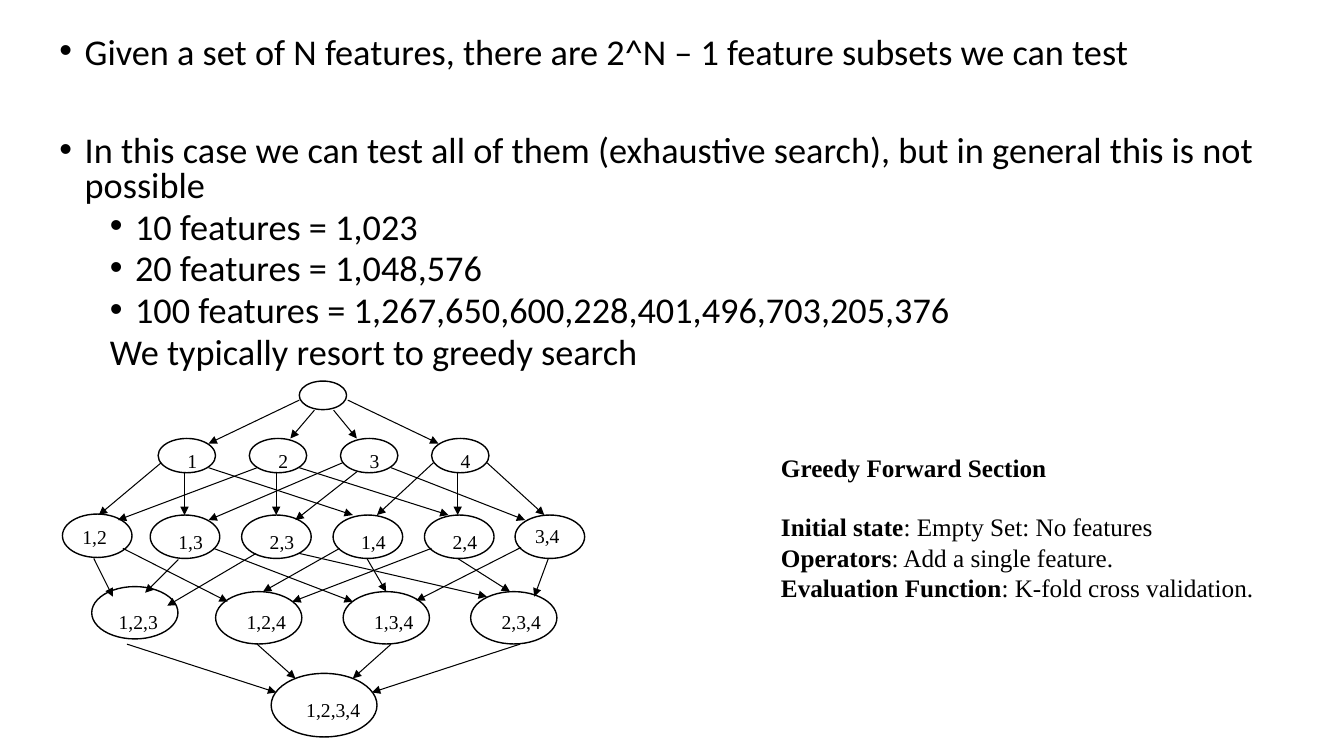
from typing import NamedTuple

from lxml import etree
from pptx import Presentation
from pptx.dml.color import RGBColor
from pptx.enum.dml import MSO_LINE
from pptx.enum.shapes import MSO_CONNECTOR, MSO_SHAPE
from pptx.enum.text import MSO_ANCHOR, MSO_AUTO_SIZE, PP_ALIGN
from pptx.oxml.ns import qn
from pptx.util import Pt

BLACK = RGBColor(0, 0, 0)
SOLID = MSO_LINE.SOLID
OVAL = MSO_SHAPE.OVAL
STRAIGHT = MSO_CONNECTOR.STRAIGHT
FIXED = MSO_AUTO_SIZE.NONE
GROW = MSO_AUTO_SIZE.SHAPE_TO_FIT_TEXT
TOP = MSO_ANCHOR.TOP
LEFT = PP_ALIGN.LEFT
SANS = "Calibri"
SERIF = "Times New Roman"


class Point(NamedTuple):
    text: str
    level: int = 0
    left: float = 18
    hang: float = 18
    before: float = 10


class Fact(NamedTuple):
    head: str
    tail: str = ""
    before: float = 0


class Node(NamedTuple):
    text: str
    x: float
    y: float
    w: float
    h: float
    dx: float = 0
    dy: float = 0


class Edge(NamedTuple):
    x1: float
    y1: float
    x2: float
    y2: float


POINTS = [
    Point("Given a set of N features, there are 2^N – 1 feature subsets we can test",
          before=0),
    Point("In this case we can test all of them (exhaustive search), "
          "but in general this is not possible", before=45.3),
    Point("10 features = 1,023", 1, 54, 18, 5),
    Point("20 features = 1,048,576", 1, 54, 18, 5),
    Point("100 features = 1,267,650,600,228,401,496,703,205,376", 1, 54, 18, 5),
    Point("We typically resort to greedy search", 1, 36, 0, 5),
]

FACTS = [
    Fact("Greedy Forward Section"),
    Fact("Initial state", ": Empty Set: No features", 20.7),
    Fact("Operators", ": Add a single feature."),
    Fact("Evaluation Function", ": K-fold cross validation."),
]

NODES = [
    Node("", 213.8, 272.2, 33.8, 20.4),
    *[Node(str(i + 1), 113 + 65.1 * i, 313.2, 41, 24.5, 13.7, 3.6)
      for i in range(4)],
    Node("1,2", 44.6, 367.2, 49.7, 31, 7.2, 4.3),
    *[Node(name, 107.3 + 65.3 * i, 367.9, 49.7, 31, 13, 7.2)
      for i, name in enumerate(["1,3", "2,3", "1,4", "2,4"])],
    Node("3,4", 367.9, 367.9, 49.7, 31, 7.2, 2.9),
    Node("1,2,3", 65.5, 419, 61.6, 37.4, 12.2, 13),
    *[Node(name, 154 + 91.1 * i, 422.6, 61.6, 37.4, 15.1, 9.4)
      for i, name in enumerate(["1,2,4", "1,3,4", "2,3,4"])],
    Node("1,2,3,4", 193.7, 481, 75.6, 45.4, 18, 13.7),
]

EDGES = [
    Edge(213.8, 285.8, 149, 316.8),
    Edge(248.4, 285.8, 313.2, 316.8),
    Edge(224.6, 293, 207.4, 313.2),
    Edge(238.3, 293, 254.9, 313.2),
    Edge(115.2, 330.5, 70.6, 367.9),
    Edge(131.8, 337, 131.8, 367.9),
    Edge(149, 334.1, 252, 367.9),
    Edge(183.6, 334.1, 84.2, 371.5),
    Edge(197.3, 337, 197.3, 367.9),
    Edge(213.8, 334.1, 320.4, 367.9),
    Edge(244.8, 330.5, 149, 371.5),
    Edge(254.9, 337, 211, 371.5),
    Edge(279.4, 334.1, 375.1, 371.5),
    Edge(309.6, 330.5, 269.3, 367.9),
    Edge(326.9, 337, 326.9, 367.9),
    Edge(347.8, 330.5, 388.8, 367.9),
    Edge(67, 398.9, 80.6, 426.2),
    Edge(87.8, 391.7, 162.7, 429.8),
    Edge(127.4, 399.6, 103.7, 423.4),
    Edge(152.6, 391.7, 252, 429.8),
    Edge(182.9, 395.3, 119.5, 432.7),
    Edge(213.8, 395.3, 347.8, 426.2),
    Edge(242.6, 391.7, 187.9, 422.6),
    Edge(262.1, 398.9, 275.8, 422.6),
    Edge(308.2, 391.7, 208.8, 429.8),
    Edge(326.9, 398.9, 364.3, 422.6),
    Edge(372.2, 391, 297.4, 429.1),
    Edge(391.7, 398.9, 381.6, 426.2),
    Edge(90.7, 460.1, 197.3, 494.6),
    Edge(371.5, 460.1, 265.7, 494.6),
    Edge(183.6, 460.1, 211, 484.6),
    Edge(279.4, 460.1, 252, 484.6),
]


def write(para, text: str, *, size: float, face: str = SERIF,
          bold: bool = False) -> None:
    run = para.add_run()
    run.text = text
    run.font.size = Pt(size)
    run.font.name = face
    run.font.bold = bold
    run.font.color.rgb = BLACK


def next_para(frame, index: int):
    return frame.add_paragraph() if index else frame.paragraphs[0]


def add_box(slide, x: float, y: float, w: float, h: float, wrap: bool):
    frame = slide.shapes.add_textbox(Pt(x), Pt(y), Pt(w), Pt(h)).text_frame
    frame.word_wrap = wrap
    frame.auto_size = GROW
    return frame


def fill_body(body) -> None:
    body.left, body.top, body.width, body.height = Pt(35.3), Pt(23), Pt(900.7), Pt(260)
    frame = body.text_frame
    frame.auto_size = FIXED
    frame.vertical_anchor = TOP
    for i, point in enumerate(POINTS):
        para = next_para(frame, i)
        para.level = point.level
        para.alignment = LEFT
        para.line_spacing = 0.8
        para.space_before = Pt(point.before)
        props = para._p.get_or_add_pPr()
        props.set("marL", str(Pt(point.left)))
        props.set("indent", str(-Pt(point.hang)))
        if point.hang:
            etree.SubElement(props, qn("a:buFont"), typeface="Arial")
            etree.SubElement(props, qn("a:buChar"), char="•")
        else:
            etree.SubElement(props, qn("a:buNone"))
        write(para, point.text, size=25.9, face=SANS)


def draw_facts(slide) -> None:
    frame = add_box(slide, 550.8, 319.7, 357.1, 174.2, True)
    for i, fact in enumerate(FACTS):
        para = next_para(frame, i)
        para.space_before = Pt(fact.before)
        write(para, fact.head, size=18, bold=True)
        if fact.tail:
            write(para, fact.tail, size=18)


def draw_edge(slide, edge: Edge) -> None:
    link = slide.shapes.add_connector(STRAIGHT, *map(Pt, edge))
    link.line.color.rgb = BLACK
    link.line.width = Pt(0.75)
    link.line.dash_style = SOLID
    etree.SubElement(link.line._get_or_add_ln(), qn("a:tailEnd"), type="triangle")
    etree.SubElement(link._element.spPr, qn("a:effectLst"))


def draw_node(slide, node: Node) -> None:
    oval = slide.shapes.add_shape(OVAL, Pt(node.x), Pt(node.y), Pt(node.w), Pt(node.h))
    oval.shadow.inherit = False
    oval.fill.background()
    oval.line.color.rgb = BLACK
    oval.line.width = Pt(1)
    if node.text:
        width = 21.6 + 5.3 * (len(node.text) - 1)
        frame = add_box(slide, node.x + node.dx, node.y + node.dy, width, 24.5, False)
        write(frame.paragraphs[0], node.text, size=14)


def main() -> None:
    deck = Presentation()
    deck.slide_width, deck.slide_height = Pt(960), Pt(540)
    slide = deck.slides.add_slide(deck.slide_layouts[1])
    title = slide.shapes.title._element
    title.getparent().remove(title)
    fill_body(slide.placeholders[1])
    draw_facts(slide)
    for edge in EDGES:
        draw_edge(slide, edge)
    for node in NODES:
        draw_node(slide, node)
    deck.save("out.pptx")


if __name__ == "__main__":
    main()
